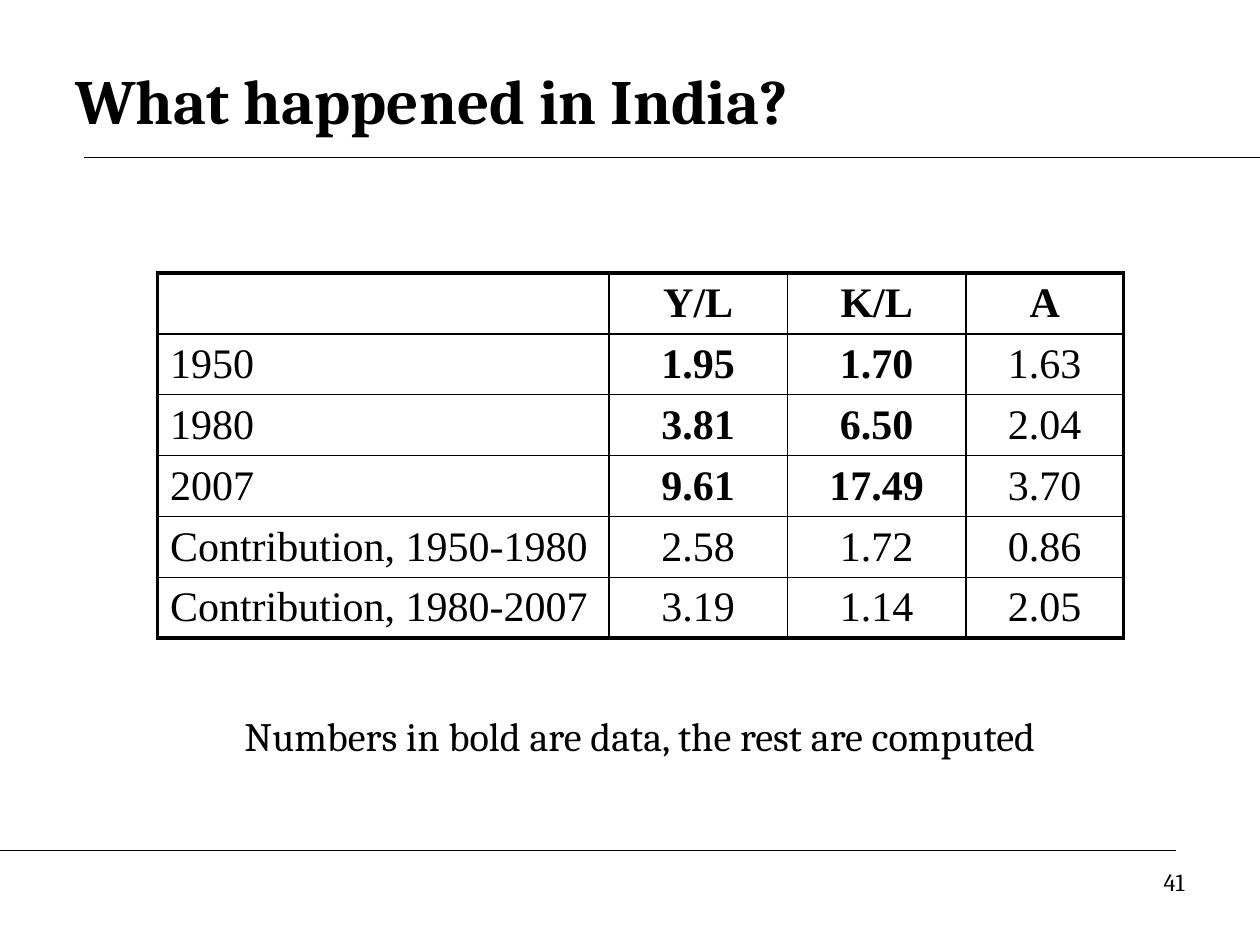
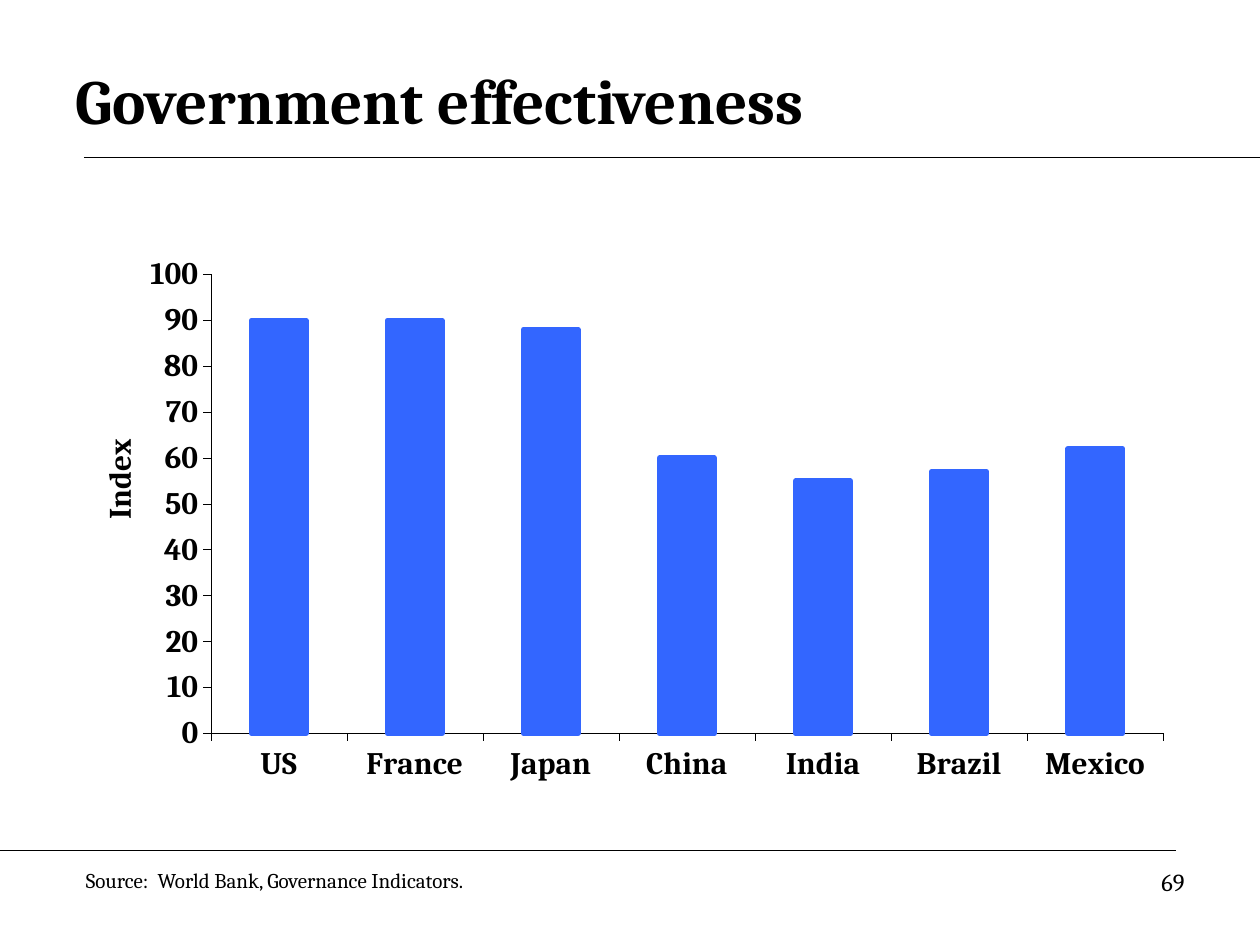
from lxml.etree import SubElement
from pptx import Presentation
from pptx.chart.data import CategoryChartData
from pptx.dml.color import RGBColor
from pptx.enum.chart import XL_CHART_TYPE, XL_TICK_MARK
from pptx.enum.shapes import MSO_CONNECTOR
from pptx.enum.text import MSO_ANCHOR, PP_ALIGN
from pptx.oxml import parse_xml
from pptx.oxml.ns import nsdecls, qn
from pptx.util import Pt

BLACK = "000000"
BAR_BLUE = "3366FF"
FONT = "Cambria"
TABLE_FONT = "Times New Roman"
TITLE_ONLY = 5

GROWTH_ROWS = [
    ["", "Y/L", "K/L", "A"],
    ["1950", "1.95", "1.70", "1.63"],
    ["1980", "3.81", "6.50", "2.04"],
    ["2007", "9.61", "17.49", "3.70"],
    ["Contribution, 1950-1980", "2.58", "1.72", "0.86"],
    ["Contribution, 1980-2007", "3.19", "1.14", "2.05"],
]
EFFECTIVENESS = {"US": 90, "France": 90, "Japan": 88, "China": 60,
                 "India": 55, "Brazil": 57, "Mexico": 62}


def rgb(hex_color):
    return RGBColor.from_string(hex_color)


def style_font(font, size, bold=False, name=FONT):
    font.name = name
    font.size = Pt(size)
    font.bold = bold
    font.color.rgb = rgb(BLACK)


def set_text(tf, text, size, bold=False, align=PP_ALIGN.LEFT, name=FONT):
    tf.text = text
    p = tf.paragraphs[0]
    p.alignment = align
    for r in p.runs:
        style_font(r.font, size, bold, name)


def add_text(s, box, text, size, align=PP_ALIGN.LEFT):
    tf = s.shapes.add_textbox(*map(Pt, box)).text_frame
    tf.word_wrap = True
    set_text(tf, text, size, align=align)


def add_rule(s, x1, x2, y):
    """Draw a thin horizontal line without a shadow."""
    line = s.shapes.add_connector(MSO_CONNECTOR.STRAIGHT, Pt(x1), Pt(y), Pt(x2), Pt(y))
    line.line.color.rgb = rgb(BLACK)
    line.line.width = Pt(0.75)
    SubElement(line._element.spPr, qn("a:effectLst"))


def add_slide(prs, title, number):
    """Add a slide with the shared rules, title and page number."""
    s = prs.slides.add_slide(prs.slide_layouts[TITLE_ONLY])
    add_rule(s, 48, 720, 90)
    add_rule(s, 0, 672, 486)
    sp = s.shapes.title
    sp.left, sp.top, sp.width, sp.height = map(Pt, (36, 24, 648, 66))
    sp.text_frame.vertical_anchor = MSO_ANCHOR.MIDDLE
    set_text(sp.text_frame, title, 36, True)
    add_text(s, (516, 492, 168, 37), str(number), 14, PP_ALIGN.RIGHT)
    return s


def set_borders(cell, widths):
    """Give the left, right, top and bottom borders their widths in points."""
    tc_pr = cell._tc.get_or_add_tcPr()
    for i, (side, width) in enumerate(zip("LRTB", widths)):
        tc_pr.insert(i, parse_xml(
            f'<a:ln{side} {nsdecls("a")} w="{Pt(width)}"><a:solidFill>'
            f'<a:srgbClr val="{BLACK}"/></a:solidFill></a:ln{side}>'))


def add_growth_table(s, rows):
    col_widths = [258, 102, 102, 90]
    row_height = 33.8
    last_row, last_col = len(rows) - 1, len(col_widths) - 1
    table = s.shapes.add_table(len(rows), len(col_widths), Pt(90), Pt(156),
                               Pt(sum(col_widths)), Pt(row_height * len(rows))).table
    table.first_row = table.horz_banding = False
    for col, width in zip(table.columns, col_widths):
        col.width = Pt(width)
    for i, row in enumerate(rows):
        table.rows[i].height = Pt(row_height)
        for j, text in enumerate(row):
            cell = table.cell(i, j)
            cell.fill.background()
            cell.vertical_anchor = MSO_ANCHOR.MIDDLE
            cell.margin_top = cell.margin_bottom = Pt(3)
            is_data = i == 0 or (i <= 3 and j in (1, 2))
            set_text(cell.text_frame, text, 24, is_data,
                     PP_ALIGN.CENTER if j else PP_ALIGN.LEFT, TABLE_FONT)
            outer = (j == 0, j == last_col, i == 0, i == last_row)
            set_borders(cell, [2.25 if edge else 1 for edge in outer])


def set_layout(parent, index, **values):
    """Place a chart part by hand, as fractions of the chart."""
    for old in parent.findall(qn("c:layout")):
        parent.remove(old)
    target = '<c:layoutTarget val="inner"/>' if "w" in values else ""
    modes = '<c:xMode val="edge"/><c:yMode val="edge"/>'
    places = "".join(f'<c:{key} val="{value}"/>' for key, value in values.items())
    parent.insert(index, parse_xml(
        f'<c:layout {nsdecls("c")}><c:manualLayout>{target}{modes}{places}'
        '</c:manualLayout></c:layout>'))


def style_axis(axis):
    axis.has_major_gridlines = False
    axis.major_tick_mark = XL_TICK_MARK.OUTSIDE
    axis.minor_tick_mark = XL_TICK_MARK.NONE
    axis.format.line.color.rgb = rgb(BLACK)
    axis.format.line.width = Pt(0.25)
    style_font(axis.tick_labels.font, 17.9, True)


def add_index_chart(s, scores):
    data = CategoryChartData(number_format="0")
    data.categories = list(scores)
    data.add_series("Series 1", list(scores.values()))
    chart = s.shapes.add_chart(XL_CHART_TYPE.COLUMN_CLUSTERED, Pt(40.3), Pt(130.3),
                               Pt(630.7), Pt(344.2), data).chart
    chart.has_legend = chart.has_title = False
    style_font(chart.font, 17.9, True, "Arial")
    plot = chart.plots[0]
    plot.gap_width = 150
    plot.vary_by_categories = False
    bars = plot.series[0].format
    bars.fill.solid()
    bars.fill.fore_color.rgb = rgb(BAR_BLUE)
    bars.line.color.rgb = rgb(BAR_BLUE)
    bars.line.width = Pt(3)
    for axis in (chart.category_axis, chart.value_axis):
        style_axis(axis)
    values = chart.value_axis
    values.minimum_scale, values.maximum_scale, values.major_unit = 0, 100, 10
    title = values.axis_title
    set_text(title.text_frame, "Index", 17.9, True, PP_ALIGN.CENTER)
    title.text_frame._txBody.bodyPr.set("rot", "-5400000")
    title.text_frame._txBody.bodyPr.set("vert", "horz")
    set_layout(title._element, 1, x=0.02, y=0.34)
    set_layout(chart._chartSpace.chart.plotArea, 0, x=0.127, y=0.077, w=0.863, h=0.762)


def main():
    prs = Presentation()
    prs.slide_width, prs.slide_height = Pt(720), Pt(540)

    s = add_slide(prs, "What happened in India?", 41)
    add_growth_table(s, GROWTH_ROWS)
    add_text(s, (48, 403, 636, 66), "Numbers in bold are data, the rest are computed",
             23, PP_ALIGN.CENTER)

    s = add_slide(prs, "Government effectiveness", 69)
    add_index_chart(s, EFFECTIVENESS)
    add_text(s, (42, 492, 348, 22), "Source:  World Bank, Governance Indicators.", 12)

    prs.save("out.pptx")


if __name__ == "__main__":
    main()
